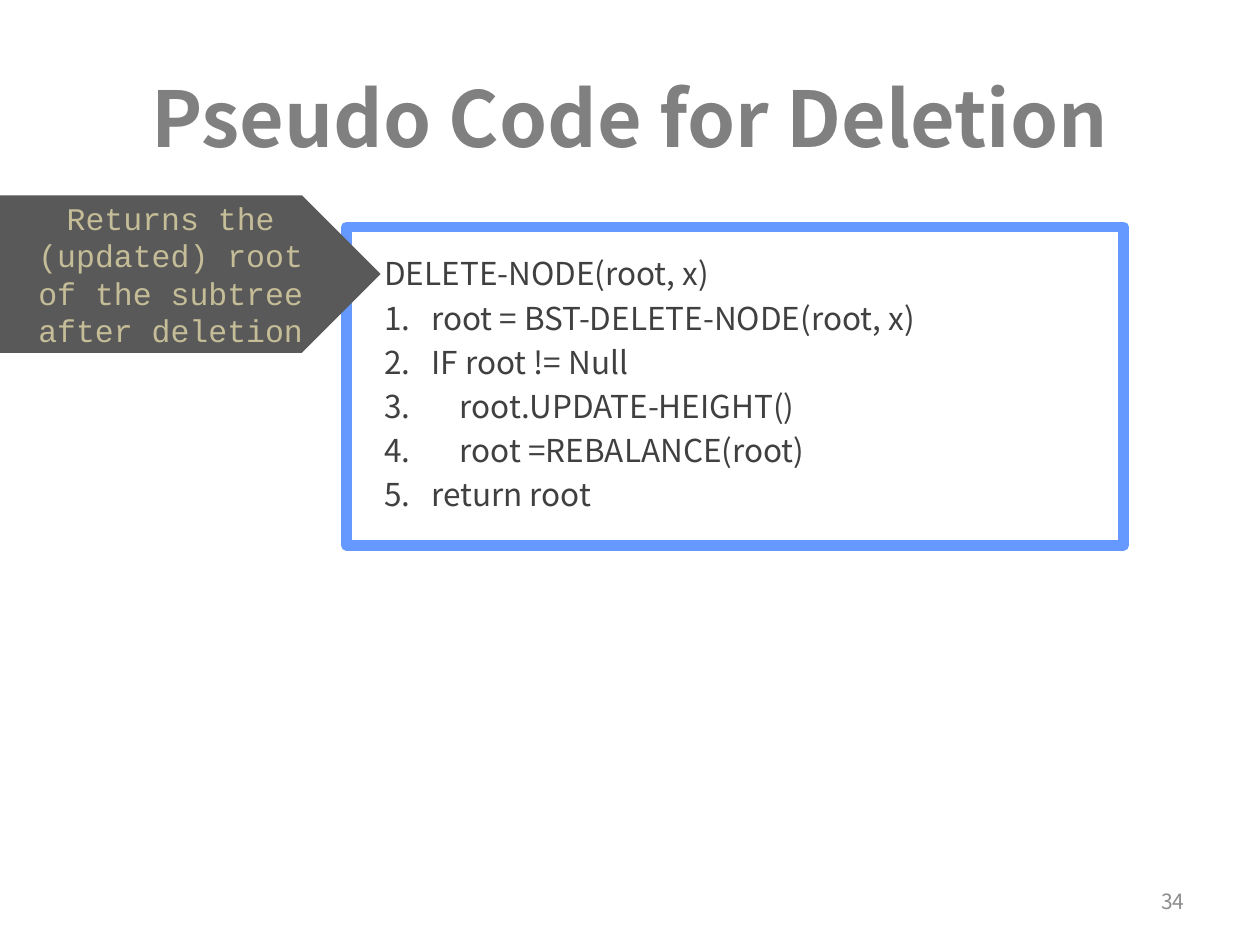
import pptx
import pptx.dml.color
import pptx.enum.shapes
import pptx.enum.text
import pptx.oxml.ns
import pptx.util
from dataclasses import dataclass

Pt = pptx.util.Pt
Align = pptx.enum.text.PP_ALIGN
Anchor = pptx.enum.text.MSO_ANCHOR
Preset = pptx.enum.shapes.MSO_SHAPE


@dataclass
class Theme:
    heading: str = "808080"
    body: str = "404040"
    number: str = "8C8C8C"
    frame: str = "6699FF"
    paper: str = "FFFFFF"
    callout: str = "595959"
    callout_text: str = "C4BD97"
    sans: str = "Noto Sans CJK SC"
    mono: str = "Courier New"
    heading_size: int = 44
    body_size: int = 18
    number_size: int = 12


theme = Theme()
rgb = pptx.dml.color.RGBColor.from_string


def write(paragraph, text, *, size, color, font=theme.sans, bold=False,
          align=Align.LEFT, leading=None, before=0, numbered=False):
    paragraph.alignment = align
    paragraph.space_before = Pt(before)
    if leading:
        paragraph.line_spacing = Pt(leading)
    if numbered:
        properties = paragraph._p.get_or_add_pPr()
        properties.set("marL", str(Pt(27)))
        properties.set("indent", str(-Pt(27)))
        numbering = pptx.oxml.parse_xml(
            f'<a:buAutoNum {pptx.oxml.ns.nsdecls("a")} type="arabicPeriod"/>')
        properties.append(numbering)
    run = paragraph.add_run()
    run.text = text
    run.font.name = font
    run.font.size = Pt(size)
    run.font.bold = bold
    run.font.color.rgb = rgb(color)


deck = pptx.Presentation()
deck.slide_width, deck.slide_height = Pt(720), Pt(540)
slide = deck.slides.add_slide(deck.slide_layouts[6])

heading = slide.shapes.add_textbox(Pt(36), Pt(21.6), Pt(648), Pt(90)).text_frame
heading.word_wrap = True
heading.vertical_anchor = Anchor.MIDDLE
write(heading.paragraphs[0], "Pseudo Code for Deletion", size=theme.heading_size,
      color=theme.heading, bold=True, align=Align.CENTER)

page_number = slide.shapes.add_textbox(Pt(516), Pt(500.4), Pt(168), Pt(28.8)).text_frame
page_number.word_wrap = True
page_number.vertical_anchor = Anchor.MIDDLE
write(page_number.paragraphs[0], "34", size=theme.number_size,
      color=theme.number, align=Align.RIGHT)

code_frame = slide.shapes.add_shape(Preset.RECTANGLE, Pt(198), Pt(129.6), Pt(444), Pt(182))
code_frame.shadow.inherit = False
code_frame.fill.solid()
code_frame.fill.fore_color.rgb = rgb(theme.paper)
code_frame.line.color.rgb = rgb(theme.frame)
code_frame.line.width = Pt(6)
code = code_frame.text_frame
code.word_wrap = True
code.vertical_anchor = Anchor.TOP
code.margin_left = code.margin_right = Pt(21.6)
code.margin_top = code.margin_bottom = Pt(14.4)
code_lines = [
    "DELETE-NODE(root, x)",
    "root = BST-DELETE-NODE(root, x)",
    "IF root != Null",
    "    root.UPDATE-HEIGHT()",
    "    root =REBALANCE(root)",
    "return root",
]
for index, line in enumerate(code_lines):
    paragraph = code.add_paragraph() if index else code.paragraphs[0]
    write(paragraph, line, size=theme.body_size, color=theme.body, leading=23,
          before=2.2 if index else 0, numbered=index > 0)

callout = slide.shapes.add_shape(Preset.PENTAGON, Pt(0), Pt(111.6), Pt(217.5), Pt(90))
callout.shadow.inherit = False
callout.fill.solid()
callout.fill.fore_color.rgb = rgb(theme.callout)
callout.line.fill.background()
callout.text_frame.word_wrap = True
callout.text_frame.vertical_anchor = Anchor.MIDDLE
write(callout.text_frame.paragraphs[0],
      "Returns the (updated) root of the subtree after deletion",
      size=theme.body_size, color=theme.callout_text, font=theme.mono,
      align=Align.CENTER, leading=21.5)

deck.save("out.pptx")
